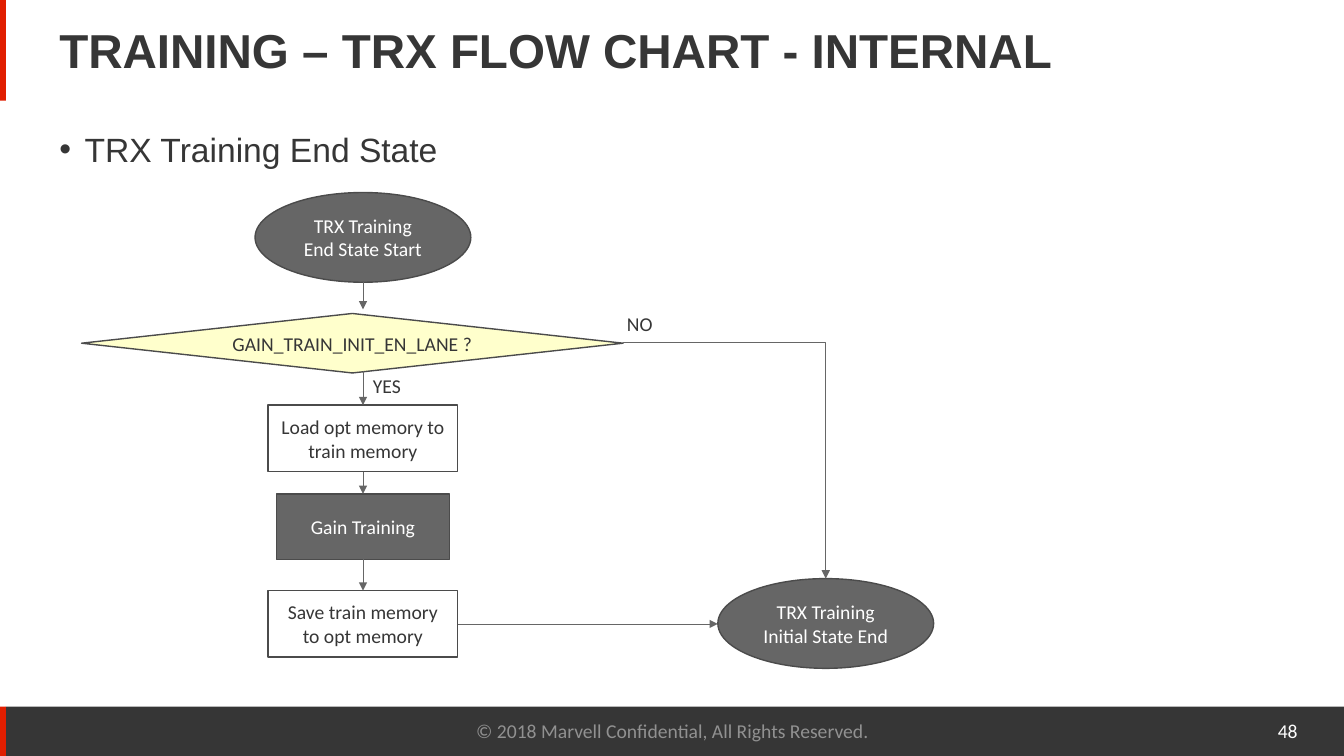
from dataclasses import dataclass
from lxml.etree import SubElement
from pptx import Presentation
from pptx.dml.color import RGBColor
from pptx.enum.shapes import MSO_CONNECTOR as LINK, MSO_SHAPE as SHAPE
from pptx.enum.text import MSO_ANCHOR as ANCHOR, MSO_AUTO_SIZE as FIT, PP_ALIGN as ALIGN
from pptx.oxml.ns import qn
from pptx.util import Emu, Pt


@dataclass(frozen=True)
class Theme:
    ink: str = "363636"
    accent: str = "E11E00"
    muted: str = "919191"
    white: str = "FFFFFF"
    gray: str = "666666"
    outline: str = "4B4B4B"
    decision: str = "FFFFCC"
    heading_font: str = "Arial"
    label_font: str = "Calibri"
    title_size: int = 34
    body_size: int = 24
    label_size: int = 14


class FlowSlide:
    """Draws flow chart elements on one slide, with lengths in px of 1/100 inch."""

    def __init__(self, page, theme):
        self.page = page
        self.theme = theme

    @staticmethod
    def px(*lengths):
        return [Emu(length * 9144) for length in lengths]

    def fill_text(self, frame, text, color, size=None, font=None, bold=False, align=ALIGN.LEFT):
        frame.text = text
        para = frame.paragraphs[0]
        para.alignment = align
        for span in para.runs:
            span.font.name = font or self.theme.label_font
            span.font.size = Pt(size or self.theme.label_size)
            span.font.bold = bold
            span.font.color.rgb = RGBColor.from_string(color)
        return para

    def text(self, bounds, text, color, anchor=ANCHOR.MIDDLE, wrap=True, **style):
        box = self.page.shapes.add_textbox(*self.px(*bounds))
        frame = box.text_frame
        frame.word_wrap = wrap
        frame.auto_size = FIT.NONE if wrap else FIT.SHAPE_TO_FIT_TEXT
        frame.vertical_anchor = anchor
        return self.fill_text(frame, text, color, **style)

    def heading(self, bounds, text, size, **style):
        para = self.text(bounds, text, self.theme.ink, size=size,
                         font=self.theme.heading_font, **style)
        para.line_spacing = 0.9
        return para

    def bullet(self, bounds, text):
        para = self.heading(bounds, text, self.theme.body_size, anchor=ANCHOR.TOP)
        properties = para._p.get_or_add_pPr()
        indent, = self.px(25)
        properties.set("marL", str(indent))
        properties.set("indent", str(-indent))
        SubElement(properties, qn("a:buFont")).set("typeface", self.theme.heading_font)
        SubElement(properties, qn("a:buChar")).set("char", "•")

    def shape(self, kind, bounds, fill=None, line=None):
        shape = self.page.shapes.add_shape(kind, *self.px(*bounds))
        shape.shadow.inherit = False
        if fill:
            shape.fill.solid()
            shape.fill.fore_color.rgb = RGBColor.from_string(fill)
        else:
            shape.fill.background()
        if line:
            shape.line.color.rgb = RGBColor.from_string(line)
            shape.line.width = Pt(1)
        else:
            shape.line.fill.background()
        return shape

    def node(self, kind, bounds, text, fill=None):
        node = self.shape(kind, bounds, fill, self.theme.outline)
        node.text_frame.word_wrap = True
        node.text_frame.vertical_anchor = ANCHOR.MIDDLE
        color = self.theme.white if fill == self.theme.gray else self.theme.ink
        self.fill_text(node.text_frame, text, color, align=ALIGN.CENTER)
        return node

    def arrow(self, start, end, source=None, target=None, bent=False):
        kind = LINK.ELBOW if bent else LINK.STRAIGHT
        arrow = self.page.shapes.add_connector(kind, *self.px(*start, *end))
        if source:
            arrow.begin_connect(*source)
        if target:
            arrow.end_connect(*target)
        arrow.line.color.rgb = RGBColor.from_string(self.theme.gray)
        arrow.line.width = Pt(0.5)
        SubElement(arrow.line._get_or_add_ln(), qn("a:tailEnd")).set("type", "triangle")
        properties = arrow._element.spPr
        SubElement(properties, qn("a:effectLst"))
        if bent:
            properties.find(qn("a:prstGeom")).set("prst", "bentConnector2")


def main():
    theme = Theme()
    deck = Presentation()
    deck.slide_width, deck.slide_height = FlowSlide.px(1333, 750)
    slide = FlowSlide(deck.slides.add_slide(deck.slide_layouts[6]), theme)

    slide.shape(SHAPE.RECTANGLE, (6, 701, 1327, 49), theme.ink)
    for bounds in ((0, 701, 6, 49), (0, 0, 6, 100)):
        slide.shape(SHAPE.RECTANGLE, bounds, theme.accent)
    slide.heading((49, 17, 1150, 72), "TRAINING – TRX FLOW CHART - INTERNAL",
                  theme.title_size, bold=True)
    slide.text((442, 705, 450, 40), "© 2018 Marvell Confidential, All Rights Reserved.",
               theme.muted, align=ALIGN.CENTER)
    slide.text((1021, 705, 276, 40), "48", theme.white, align=ALIGN.RIGHT)
    slide.bullet((49, 127, 475, 69), "TRX Training End State")

    slide.node(SHAPE.OVAL, (253, 191, 214, 89), "TRX Training End State Start", theme.gray)
    slide.node(SHAPE.FLOWCHART_DECISION, (81, 311, 537, 59),
               "GAIN_TRAIN_INIT_EN_LANE ?", theme.decision)
    load = slide.node(SHAPE.RECTANGLE, (266, 402, 188, 66), "Load opt memory to train memory")
    gain = slide.node(SHAPE.RECTANGLE, (274, 490, 172, 65), "Gain Training", theme.gray)
    save = slide.node(SHAPE.RECTANGLE, (266, 586, 188, 66), "Save train memory to opt memory")
    slide.node(SHAPE.OVAL, (712, 574, 214, 89), "TRX Training Initial State End", theme.gray)

    slide.arrow((360, 280), (360, 307))
    slide.arrow((360, 368), (360, 402), target=(load, 0))
    slide.arrow((360, 468), (360, 490), (load, 2), (gain, 0))
    slide.arrow((360, 555), (360, 586), (gain, 2), (save, 0))
    slide.arrow((454, 619), (712, 619), (save, 3))
    slide.arrow((618, 340), (819, 574), bent=True)

    for bounds, answer in (((612, 305, 46, 34), "NO"), ((360, 366, 48, 34), "YES")):
        slide.text(bounds, answer, theme.ink, anchor=ANCHOR.TOP, wrap=False)

    deck.save("out.pptx")


if __name__ == "__main__":
    main()
